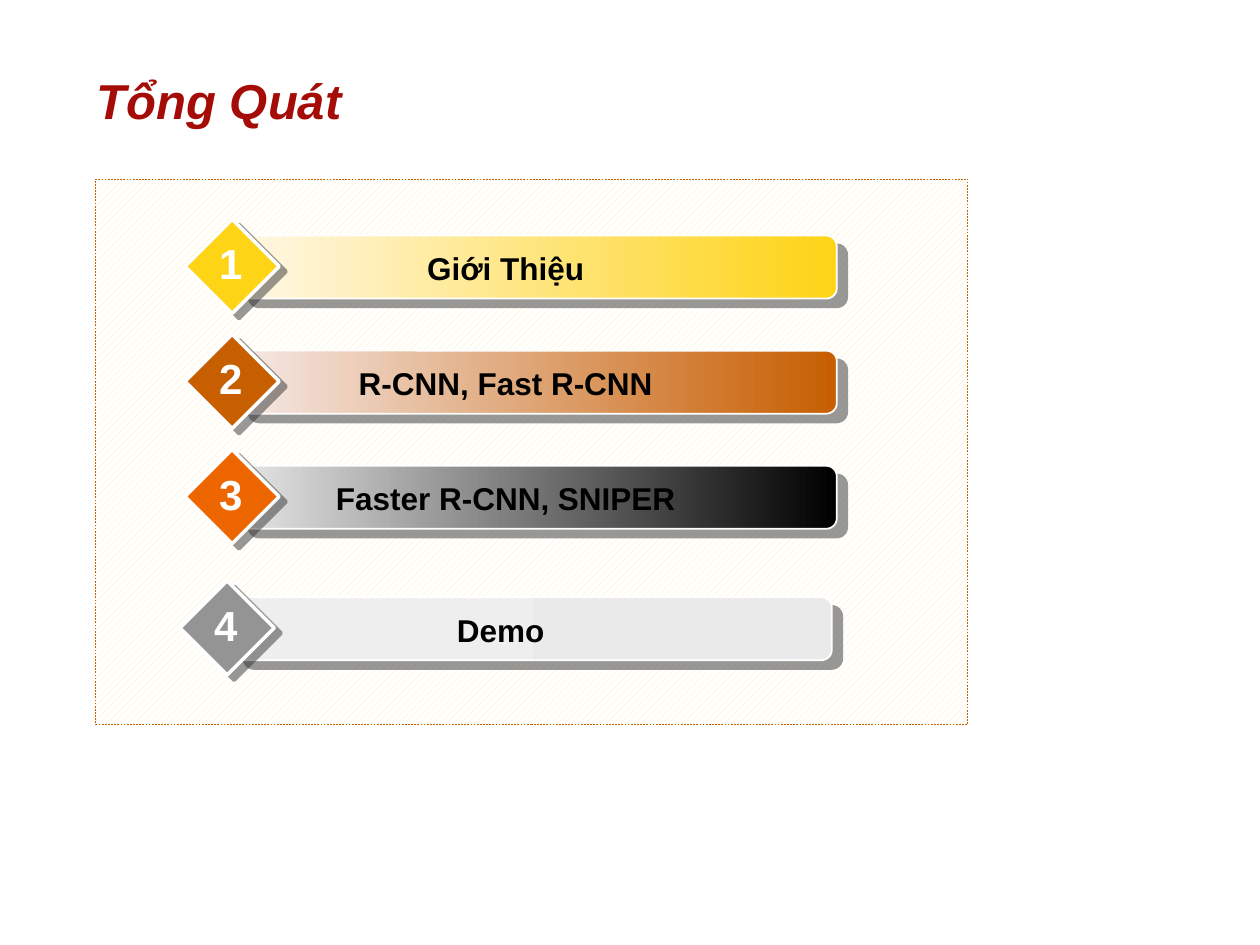
from lxml.etree import SubElement
from pptx import Presentation
from pptx.dml.color import RGBColor
from pptx.enum.dml import MSO_LINE, MSO_PATTERN
from pptx.enum.shapes import MSO_SHAPE as Kind
from pptx.enum.text import MSO_ANCHOR as Anchor, MSO_AUTO_SIZE as Fit, PP_ALIGN as Align
from pptx.oxml.ns import qn
from pptx.util import Cm, Pt

FONT = "Arial"
LEFT, TOP, PITCH = 3.73, 4.42, 2.32
# label, left, top, bar start, bar end, diamond
ITEMS = [
    ("Giới Thiệu", LEFT, TOP, "FFF7E6", "FED416", "FED416"),
    ("R-CNN, Fast R-CNN", LEFT, TOP + PITCH, "F5E9E6", "C75E00", "C75E00"),
    ("Faster R-CNN, SNIPER", LEFT, TOP + 2 * PITCH, "E6E6E6", "000000", "EE6600"),
    ("Demo", 3.63, 11.71, "EEEEEE", "EAEAEA", "949494"),
]


def color(code):
    return RGBColor.from_string(code)


def add_shape(parent, kind, x, y, w, h, edge, width):
    shape = parent.add_shape(kind, Cm(x), Cm(y), Cm(w), Cm(h))
    shape.shadow.inherit = False
    shape.line.color.rgb = color(edge)
    shape.line.width = Pt(width)
    return shape


def cast_shadow(shape, dist, angle):
    """Add a hard, half-transparent grey shadow."""
    effects = shape.fill._xPr.find(qn("a:effectLst"))
    outer = SubElement(effects, qn("a:outerShdw"), blurRad="0",
                       dist=str(Pt(dist)), dir=str(angle * 60000),
                       algn="ctr", rotWithShape="0")
    tone = SubElement(outer, qn("a:srgbClr"), val="333333")
    SubElement(tone, qn("a:alpha"), val="50000")


def set_text(shape, text, size, ink, align, wrap, italic=None):
    frame = shape.text_frame
    frame.text = text
    frame.word_wrap = wrap
    frame.auto_size = Fit.SHAPE_TO_FIT_TEXT
    frame.vertical_anchor = Anchor.TOP
    para = frame.paragraphs[0]
    para.alignment = align
    font = para.runs[0].font
    font.name, font.size = FONT, Pt(size)
    font.bold, font.italic = True, italic
    font.color.rgb = color(ink)


def add_label(parent, x, y, w, h, text, size, ink, wrap):
    box = parent.add_textbox(Cm(x), Cm(y), Cm(w), Cm(h))
    set_text(box, text, size, ink, Align.CENTER, wrap)


def add_title(slide, x, y, w, h):
    title = slide.shapes.title
    title.left, title.top, title.width, title.height = Cm(x), Cm(y), Cm(w), Cm(h)
    set_text(title, "Tổng Quát", 28, "A50C07", Align.LEFT, False, True)


def add_panel(slide, x, y, w, h):
    panel = add_shape(slide.shapes, Kind.RECTANGLE, x, y, w, h, "C75E00", 0.25)
    panel.line.dash_style = MSO_LINE.DASH
    panel.fill.patterned()
    panel.fill.pattern = MSO_PATTERN.WIDE_UPWARD_DIAGONAL
    panel.fill.fore_color.rgb = color("FFEEA2")
    panel.fill.back_color.rgb = color("FFFFFF")


def add_item(slide, x, y, number, label, start, end, tint):
    """Group a numbered diamond with its bar; x, y is the diamond's corner."""
    parts = slide.shapes.add_group_shape().shapes

    bar = add_shape(parts, Kind.ROUNDED_RECTANGLE, x + 1.07, y + 0.33,
                    12.07, 1.27, "FFFFFF", 1)
    bar.fill.gradient()
    bar.fill.gradient_angle = 0
    for stop, code in zip(bar.fill.gradient_stops, (start, end)):
        stop.color.rgb = color(code)
    cast_shadow(bar, 7.8, 40)

    gem = add_shape(parts, Kind.DIAMOND, x, y, 1.9, 1.9, "FFFFFF", 2)
    gem.fill.solid()
    gem.fill.fore_color.rgb = color(tint)
    cast_shadow(gem, 5, 37)

    add_label(parts, x + 1.7, y + 0.48, 9.53, 1.02, label, 18, "000000", True)
    add_label(parts, x + 0.43, y + 0.25, 0.99, 1.27, str(number), 24, "FFFFFF", False)


def main():
    deck = Presentation()
    deck.slide_width, deck.slide_height = Cm(25.4), Cm(19.05)
    slide = deck.slides.add_slide(deck.slide_layouts[5])
    add_title(slide, 1.7, 1.3, 5.51, 1.45)
    add_panel(slide, 1.93, 3.61, 17.58, 11)
    for number, (label, x, y, *tones) in enumerate(ITEMS, 1):
        add_item(slide, x, y, number, label, *tones)
    deck.save("out.pptx")


if __name__ == "__main__":
    main()
